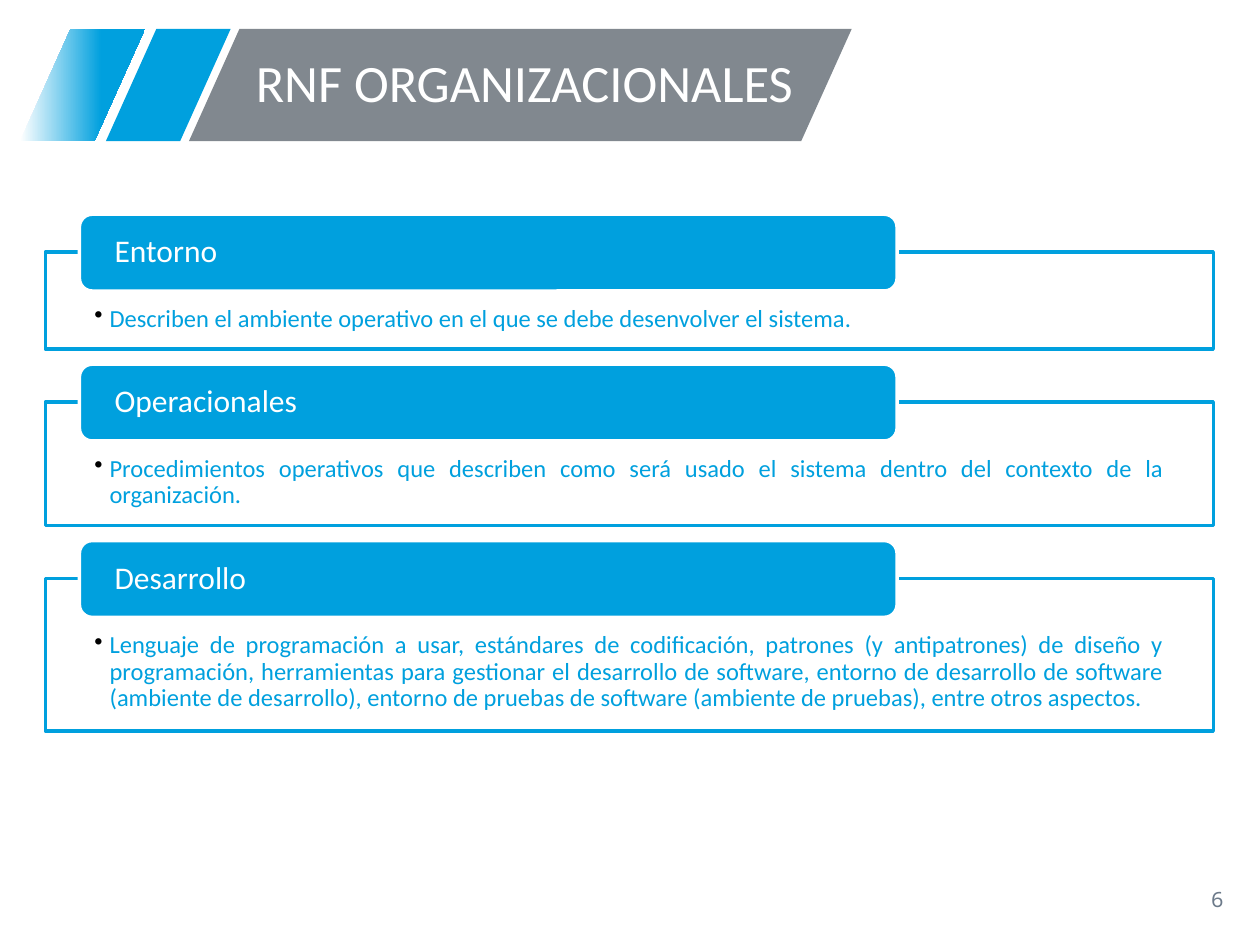
from lxml import etree
from pptx import Presentation
from pptx import util as u
from pptx.dml.color import RGBColor
from pptx.enum import shapes, text
from pptx.oxml.ns import qn

BLUE, GRAY, WHITE = "00A0DE", "81888F", "FFFFFF"

deck = Presentation()
deck.slide_width, deck.slide_height = u.Inches(10), u.Inches(7.5)
col, row = deck.slide_width / 100, deck.slide_height / 75
slide = deck.slides.add_slide(deck.slide_layouts[5])


def rgb(value):
    return RGBColor.from_string(value)


def write(target, words, size, color, align, anchor, insets, font="Calibri"):
    frame = target.text_frame
    frame.text = words
    frame.word_wrap = True
    frame.auto_size = text.MSO_AUTO_SIZE.NONE
    frame.vertical_anchor = anchor
    frame.margin_left = frame.margin_right = u.Inches(insets[0])
    frame.margin_top, frame.margin_bottom = u.Inches(insets[1]), u.Inches(insets[2])
    paragraph = frame.paragraphs[0]
    paragraph.alignment = align
    paragraph.line_spacing = 0.9
    run = paragraph.runs[0]
    run.font.size, run.font.name = u.Pt(size), font
    run.font.color.rgb = rgb(color)
    return paragraph


for left, width, color in [(8.4, 9.9, BLUE), (1.6, 9.9, None), (15, 52.6, GRAY)]:
    band = slide.shapes.add_shape(
        shapes.MSO_SHAPE.PARALLELOGRAM,
        int(left * col), int(2.3 * row), int(width * col), int(8.9 * row))
    band.adjustments[0] = 0.45
    band.shadow.inherit = False
    band.line.fill.background()
    if color:
        band.fill.solid()
        band.fill.fore_color.rgb = rgb(color)
    else:
        band.fill.gradient()
        band.fill.gradient_angle = 0
        for stop, position, shade in zip(band.fill.gradient_stops, (0, 0.65), (WHITE, BLUE)):
            stop.position = position
            stop.color.rgb = rgb(shade)

title = slide.shapes.title
title.left, title.top = int(19.3 * col), int(2.3 * row)
title.width, title.height = int(46.9 * col), int(8.9 * row)
write(title, "RNF ORGANIZACIONALES", 30, WHITE, text.PP_ALIGN.LEFT,
      text.MSO_ANCHOR.MIDDLE, (0.1, 0.05, 0.05))
slide.shapes._spTree.append(title._element)

page_number = slide.shapes.add_textbox(
    int(75.6 * col), int(69.5 * row), int(22.5 * col), int(4 * row))
write(page_number, "6", 12, "6C7A8A", text.PP_ALIGN.RIGHT,
      text.MSO_ANCHOR.MIDDLE, (0.1, 0.05, 0.05), "Noto Sans Mono")

categories = [
    ("Entorno", 7.7,
     "Describen el ambiente operativo en el que se debe desenvolver el sistema."),
    ("Operacionales", 9.8,
     "Procedimientos operativos que describen como será usado el sistema dentro del "
     "contexto de la organización."),
    ("Desarrollo", 12.1,
     "Lenguaje de programación a usar, estándares de codificación, patrones (y antipatrones) "
     "de diseño y programación, herramientas para gestionar el desarrollo de software, entorno "
     "de desarrollo de software (ambiente de desarrollo), entorno de pruebas de software "
     "(ambiente de pruebas), entre otros aspectos."),
]
top = 20
for name, height, description in categories:
    panel = slide.shapes.add_shape(
        shapes.MSO_SHAPE.RECTANGLE,
        int(3.6 * col), int(top * row), int(92.7 * col), int(height * row))
    heading = slide.shapes.add_shape(
        shapes.MSO_SHAPE.ROUNDED_RECTANGLE,
        int(6.3 * col), int((top - 3) * row), int(64.9 * col), int(6.1 * row))
    for part, fill, line in [(panel, WHITE, BLUE), (heading, BLUE, WHITE)]:
        part.shadow.inherit = False
        part.fill.solid()
        part.fill.fore_color.rgb = rgb(fill)
        part.line.color.rgb = rgb(line)
        part.line.width = u.Pt(2)
    panel_color = panel._element.spPr.find(qn("a:solidFill")).find(qn("a:srgbClr"))
    etree.SubElement(panel_color, qn("a:alpha")).set("val", "90000")

    detail = write(panel, description, 14, BLUE, text.PP_ALIGN.JUSTIFY,
                   text.MSO_ANCHOR.TOP, (0.39, 0.43, 0.11))
    bullet = detail._p.get_or_add_pPr()
    bullet.set("marL", str(u.Inches(0.12)))
    bullet.set("indent", str(-u.Inches(0.12)))
    bullet_color = etree.SubElement(bullet, qn("a:buClr"))
    etree.SubElement(bullet_color, qn("a:srgbClr")).set("val", "000000")
    etree.SubElement(bullet, qn("a:buChar")).set("char", "•")

    write(heading, name, 18, WHITE, text.PP_ALIGN.JUSTIFY,
          text.MSO_ANCHOR.MIDDLE, (0.25, 0, 0))
    top += height + 4.2

deck.save("out.pptx")
